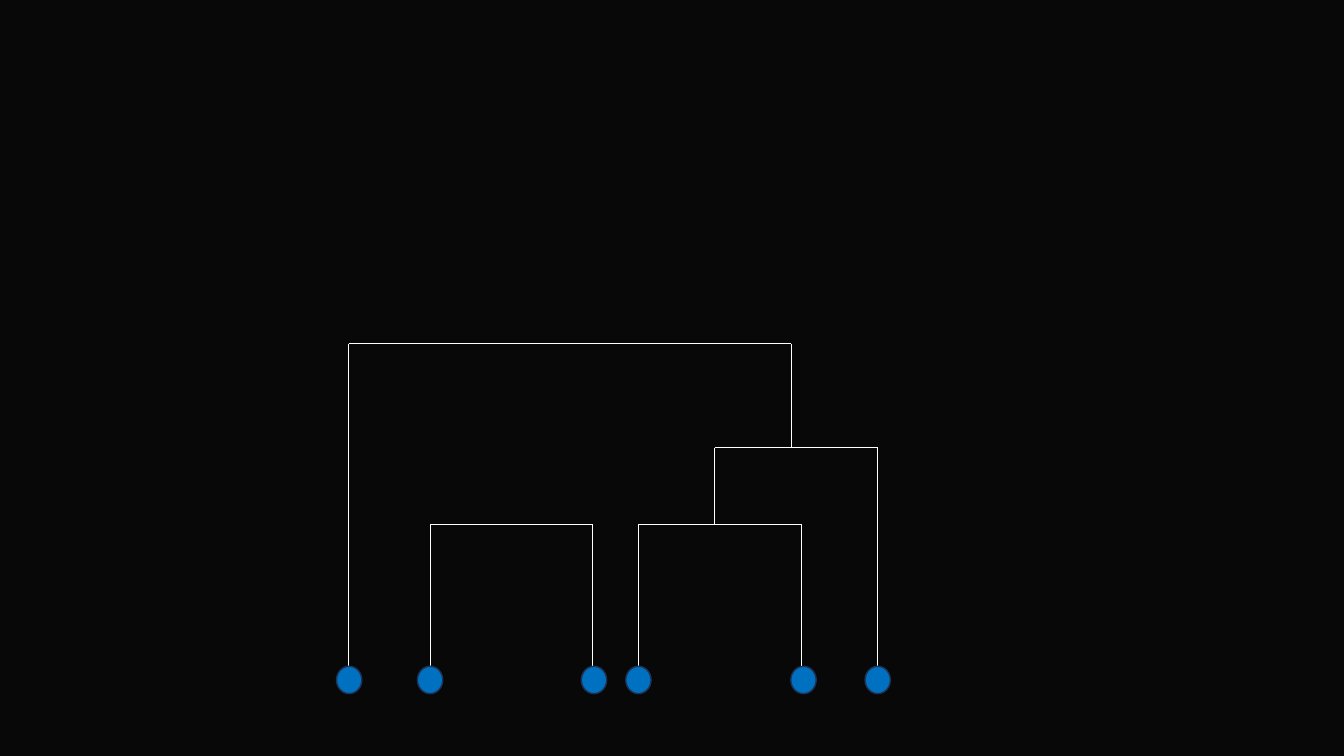
from dataclasses import dataclass

from lxml.etree import SubElement
from pptx import Presentation
from pptx.dml.color import RGBColor
from pptx.enum.shapes import MSO_CONNECTOR, MSO_SHAPE
from pptx.oxml.ns import qn
from pptx.slide import Slide
from pptx.util import Cm, Pt


@dataclass(frozen=True)
class Theme:
    background: RGBColor = RGBColor(0x08, 0x08, 0x08)
    branch: RGBColor = RGBColor(0xFF, 0xFF, 0xFF)
    leaf: RGBColor = RGBColor(0x00, 0x70, 0xC0)
    leaf_outline: RGBColor = RGBColor(0x1E, 0x32, 0x56)
    branch_width: float = 0.5
    outline_width: float = 1


@dataclass(frozen=True)
class Merge:
    """Bracket joining two clusters; all lengths in centimetres."""
    left: float
    right: float
    top: float
    left_foot: float
    right_foot: float


THEME = Theme()

# Heights of the dendrogram levels
ROOT, UPPER, LOWER, BASE = 8.66, 11.28, 13.21, 17.15

MERGES = [
    Merge(10.85, 14.94, LOWER, BASE, BASE),
    Merge(16.08, 20.19, LOWER, BASE, BASE),
    Merge(18.01, 22.12, UPPER, LOWER, BASE),
    Merge(8.79, 19.94, ROOT, BASE, UPPER),
]

# Leaf centres and size
LEAF_CENTRES = [8.8, 10.84, 14.97, 16.09, 22.12, 20.25]
LEAF_WIDTH, LEAF_HEIGHT, LEAF_TOP = 0.64, 0.69, 16.79


def draw_branch(slide: Slide, x1: float, y1: float, x2: float, y2: float) -> None:
    connector = slide.shapes.add_connector(
        MSO_CONNECTOR.STRAIGHT, Cm(x1), Cm(y1), Cm(x2), Cm(y2))
    connector.line.color.rgb = THEME.branch
    connector.line.width = Pt(THEME.branch_width)
    SubElement(connector._element.spPr, qn("a:effectLst"))


def draw_merge(slide: Slide, merge: Merge) -> None:
    draw_branch(slide, merge.left, merge.top, merge.left, merge.left_foot)
    draw_branch(slide, merge.right, merge.top, merge.right, merge.right_foot)
    draw_branch(slide, merge.left, merge.top, merge.right, merge.top)


def draw_leaf(slide: Slide, centre: float) -> None:
    shape = slide.shapes.add_shape(
        MSO_SHAPE.OVAL, Cm(centre - LEAF_WIDTH / 2), Cm(LEAF_TOP),
        Cm(LEAF_WIDTH), Cm(LEAF_HEIGHT))
    shape.shadow.inherit = False
    shape.fill.solid()
    shape.fill.fore_color.rgb = THEME.leaf
    shape.line.color.rgb = THEME.leaf_outline
    shape.line.width = Pt(THEME.outline_width)


def main() -> None:
    presentation = Presentation()
    presentation.slide_width = Cm(33.87)
    presentation.slide_height = Cm(19.05)
    slide = presentation.slides.add_slide(presentation.slide_layouts[6])

    # Background
    slide.background.fill.solid()
    slide.background.fill.fore_color.rgb = THEME.background

    # Dendrogram: branches first, leaves on top
    for merge in MERGES:
        draw_merge(slide, merge)
    for centre in LEAF_CENTRES:
        draw_leaf(slide, centre)

    presentation.save("out.pptx")


if __name__ == "__main__":
    main()
